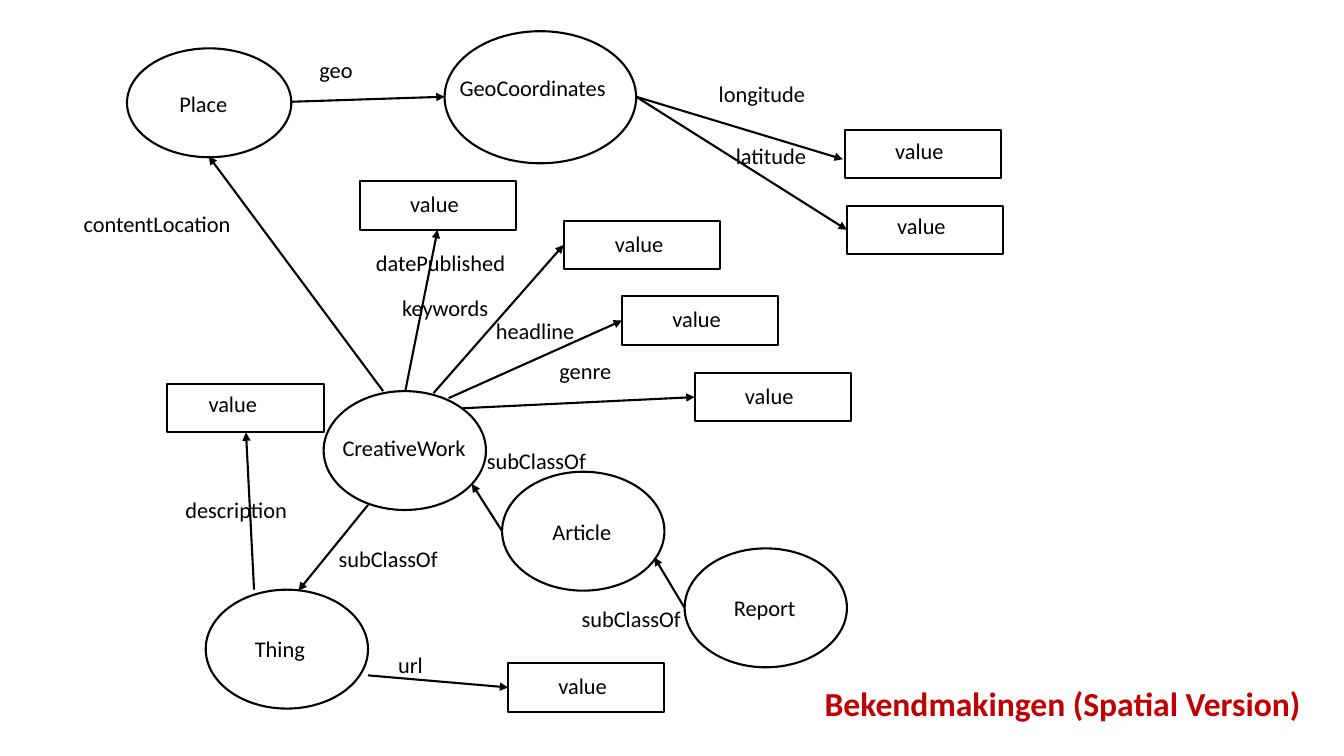
from lxml import etree
from pptx import Presentation
from pptx import util as u
from pptx.dml.color import RGBColor
from pptx.enum import shapes, text
from pptx.oxml import ns

BLACK = RGBColor(0x00, 0x00, 0x00)
RED = RGBColor(0xC0, 0x00, 0x00)
COLUMNS, ROWS = 133.3, 75

deck = Presentation()
deck.slide_width, deck.slide_height = u.Inches(13.33), u.Inches(7.5)
page = deck.slides.add_slide(deck.slide_layouts[6])


def grid(column, row):
    return int(deck.slide_width * column / COLUMNS), int(deck.slide_height * row / ROWS)


def add_label(words, column, row, width, height=3.7, size=16, color=BLACK, bold=False):
    box = page.shapes.add_textbox(*grid(column, row), *grid(width, height))
    box.text_frame.word_wrap = False
    box.text_frame.auto_size = text.MSO_AUTO_SIZE.SHAPE_TO_FIT_TEXT
    box.text_frame.text = words
    span = box.text_frame.paragraphs[0].runs[0]
    span.font.name, span.font.size, span.font.bold = "Calibri", u.Pt(size), bold
    span.font.color.rgb = color


CLASS_SIZE = (16.1, 11.8)
classes = [
    ("Place", (12.6, 4.8), (16.3, 10.8), (16.8, 8.5, 6.8)),
    ("GeoCoordinates", (44.1, 3.1), (19, 13.1), (44.6, 6.9, 16.7)),
    ("CreativeWork", (32.1, 38.8), CLASS_SIZE, (33, 42.6, 14.4)),
    ("Article", (49.8, 46.8), CLASS_SIZE, (53.8, 50.9, 7.9)),
    ("Report", (67.9, 54.4), CLASS_SIZE, (71.8, 58.5, 8.2)),
    ("Thing", (20.4, 58.5), CLASS_SIZE, (24.3, 62.5, 7)),
]
VALUE_SIZE = (15.5, 4.8)
values = [
    ((83.8, 12.9), (4, 0.2)),
    ((84, 20.4), (4, 0.2)),
    ((35.7, 18), (4, 0.4)),
    ((55.9, 21.9), (4.1, 0.4)),
    ((61.7, 29.4), (4, 0.4)),
    ((68.9, 37), (4, 0.4)),
    ((16.6, 38.1), (3.1, 0.1)),
    ((50.4, 65.8), (4, 0.4)),
]
outlines = [(shapes.MSO_SHAPE.OVAL, corner, size) for _, corner, size, _ in classes]
outlines += [(shapes.MSO_SHAPE.RECTANGLE, corner, VALUE_SIZE) for corner, _ in values]
for kind, corner, size in outlines:
    outline = page.shapes.add_shape(kind, *grid(*corner), *grid(*size))
    outline.shadow.inherit = False
    outline.fill.background()
    outline.line.color.rgb = BLACK
    outline.line.width = u.Pt(1.5)

properties = [
    ("geo", (30.7, 5.1, 5.4), (28.8, 10.1), (44.1, 9.6)),
    ("longitude", (70.3, 7.5, 10.7), (63.1, 9.6), (83.6, 15.8)),
    ("latitude", (72, 13.6, 9.1), (63.1, 9.6), (84, 22.8)),
    ("contentLocation", (7.3, 20.4, 16.8), (38, 38.8), (20.7, 15.5)),
    ("datePublished", (36.3, 24.2, 15), (40.2, 38.8), (43.4, 22.8)),
    ("keywords", (38.9, 28.7, 10.7), (43, 39), (55.9, 24.3)),
    ("headline", (48.2, 31, 9.9), (44.5, 39.5), (61.7, 31.8)),
    ("genre", (54.5, 34.9, 7.2), (45.9, 40.5), (68.9, 39.4)),
    ("description", (17.4, 48.7, 12.2), (25.2, 58.5), (24.4, 42.9)),
    ("url", (38.5, 64.1, 4.5), (36.5, 67), (50.4, 68.2)),
    ("subClassOf", (47.3, 43.9, 11.9), (49.8, 52.7), (46.8, 48)),
    ("subClassOf", (32.6, 53.6, 11.9), (36.5, 50.1), (29.6, 58.6)),
    ("subClassOf", (56.7, 59.5, 11.9), (67.9, 60.3), (64.9, 55.3)),
]
for name, place, start, end in properties:
    arrow = page.shapes.add_connector(shapes.MSO_CONNECTOR.STRAIGHT, *grid(*start), *grid(*end))
    arrow.line.color.rgb = BLACK
    arrow.line.width = u.Pt(1.5)
    etree.SubElement(arrow.line._get_or_add_ln(), ns.qn("a:tailEnd"), type="triangle")
    etree.SubElement(arrow._element.spPr, ns.qn("a:effectLst"))
    add_label(name, *place)

for name, _, _, place in classes:
    add_label(name, *place)
for (column, row), (indent, drop) in values:
    add_label("value", column + indent, row + drop, 6.9)
add_label("Bekendmakingen (Spatial Version)", 80.8, 67.3, 49.7, 5, 24, RED, True)

deck.save("out.pptx")
